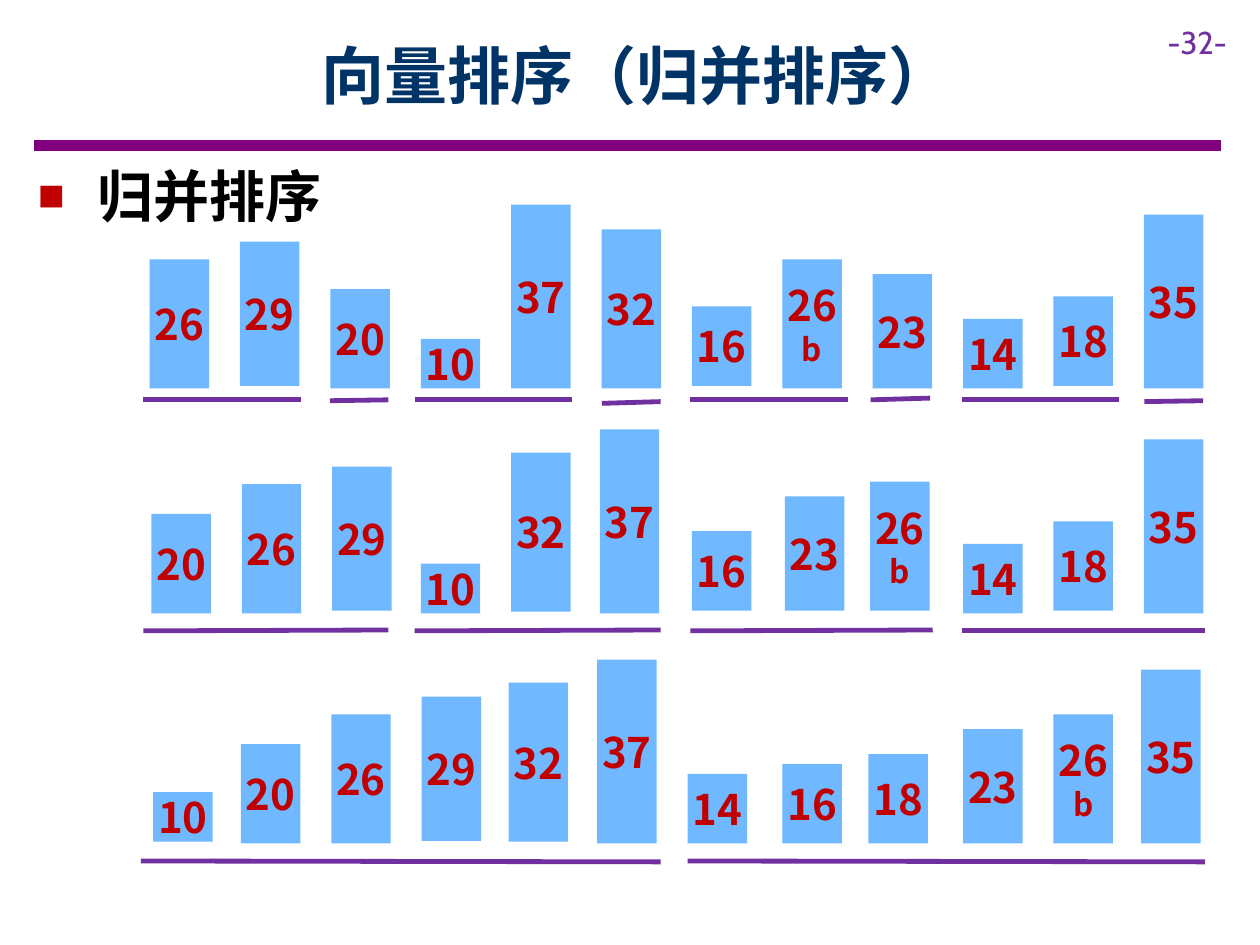
import pptx
import pptx.util
import pptx.dml.color
import pptx.enum.shapes
import pptx.enum.text
import pptx.oxml.ns
from lxml import etree

Pt = pptx.util.Pt
COLORS = {"title": "003366", "rule": "800080", "merge": "7030A0", "bar": "70B8FF",
          "value": "C00000", "text": "000000", "bullet": "C00000"}
HEADING_FONT = "Noto Sans CJK SC"
qn = pptx.oxml.ns.qn


def style_text(paragraph, size, color, bold=True, name=HEADING_FONT):
    font = paragraph.font
    font.size, font.bold, font.name = Pt(size), bold, name
    font.color.rgb = pptx.dml.color.RGBColor.from_string(COLORS[color])
    for run in paragraph.runs:
        east_asian = etree.SubElement(run.font._element, qn("a:ea"))
        east_asian.set("typeface", name)


def draw_line(x1, y1, x2, y2, color, width):
    line = slide.shapes.add_connector(
        pptx.enum.shapes.MSO_CONNECTOR.STRAIGHT, Pt(x1), Pt(y1), Pt(x2), Pt(y2))
    line.line.color.rgb = pptx.dml.color.RGBColor.from_string(COLORS[color])
    line.line.width = Pt(width)
    etree.SubElement(line._element.spPr, qn("a:effectLst"))


presentation = pptx.Presentation()
presentation.slide_width, presentation.slide_height = Pt(720), Pt(540)
slide = presentation.slides.add_slide(presentation.slide_layouts[6])

draw_line(19.5, 83, 697.5, 83, "rule", 6)

page_number = slide.shapes.add_textbox(Pt(660), Pt(9.5), Pt(60), Pt(29)).text_frame
page_number.word_wrap = True
page_number.text = "-32-"
style_text(page_number.paragraphs[0], 18, "merge", False, "Cabin")

title = slide.shapes.add_textbox(Pt(65), Pt(6.5), Pt(598), Pt(72)).text_frame
title.word_wrap = True
title.vertical_anchor = pptx.enum.text.MSO_ANCHOR.MIDDLE
title.text = "向量排序（归并排序）"
title.paragraphs[0].alignment = pptx.enum.text.PP_ALIGN.CENTER
style_text(title.paragraphs[0], 36, "title")

topic = slide.shapes.add_textbox(Pt(14.5), Pt(88.5), Pt(680.5), Pt(46)).text_frame
topic.word_wrap = True
topic.text = " 归并排序"
topic_line = topic.paragraphs[0]
topic_line.space_after = Pt(6)
style_text(topic_line, 32, "text")
topic_format = topic_line._p.get_or_add_pPr()
topic_format.set("marL", str(Pt(27)))
topic_format.set("indent", str(-Pt(27)))
bullet_parts = []
for tag, attribute, setting in [("a:buClr", None, None), ("a:buSzPct", "val", "80000"),
                                ("a:buFont", "typeface", "Arial"), ("a:buChar", "char", "■")]:
    part = etree.Element(qn(tag))
    if attribute:
        part.set(attribute, setting)
    else:
        etree.SubElement(part, qn("a:srgbClr")).set("val", COLORS["bullet"])
    bullet_parts.append(part)
for part in bullet_parts:
    topic_format.find(qn("a:defRPr")).addprevious(part)

FIRST_LEFT, PITCH, BAR_WIDTH, UNIT_HEIGHT = 85.5, 51.65, 34, 2.84
# Each bar: label, sideways shift from its column, lift above the baseline.
passes = [
    (222, [("26", 0, 0), ("29", 0, 1.5), ("20", 0, 0), ("10", 0, 0),
           ("37", 0, 0), ("32", 0, 0), ("16", 0, 1.5), ("26b", 0, 0),
           ("23", 0, 0), ("14", 0, 0), ("18", 0, 1.5), ("35", 0, 0)],
     [(82, 228.5, 172, 228.5), (237, 228.5, 327, 228.5),
      (394.5, 228.5, 484.5, 228.5), (549.5, 228.5, 639.5, 228.5),
      (188.5, 229, 222, 228.5), (344, 230.5, 377.5, 229.5),
      (497.5, 228.5, 531.5, 227.5), (654, 229.5, 687.5, 229)]),
    (350.5, [("20", 1, 0), ("26", 1, 0), ("29", 1, 1.5), ("10", 0, 0),
             ("32", 0, 1), ("37", -1, 0), ("16", 0, 1.5), ("23", 1.5, 1.5),
             ("26b", -1.5, 1.5), ("14", 0, 0), ("18", 0, 1.5), ("35", 0, 0)],
     [(82, 360.5, 222, 360), (237, 360.5, 377.5, 360),
      (394.5, 360.5, 533, 360), (549.5, 360.5, 688.5, 360.5)]),
    (482, [("10", 2, 1), ("20", 0.5, 0), ("26", 0.5, 0), ("29", 0.5, 1.5),
           ("32", -1.5, 1), ("37", -2.5, 0), ("14", -2.5, 0), ("16", 0, 0),
           ("18", -2.5, 0), ("23", 0, 0), ("26b", 0, 0), ("35", -1.5, 0)],
     [(80.5, 492, 377.5, 492.5), (393, 492, 688.5, 492.5)]),
]

for baseline, bars, merged_runs in passes:
    for column, (label, shift, lift) in enumerate(bars):
        height = int(label[:2]) * UNIT_HEIGHT
        bar = slide.shapes.add_shape(
            pptx.enum.shapes.MSO_SHAPE.RECTANGLE, Pt(FIRST_LEFT + column * PITCH + shift),
            Pt(baseline - lift - height), Pt(BAR_WIDTH), Pt(height))
        bar.shadow.inherit = False
        bar.fill.solid()
        bar.fill.fore_color.rgb = pptx.dml.color.RGBColor.from_string(COLORS["bar"])
        bar.line.fill.background()
        value = bar.text_frame
        value.word_wrap = False
        value.margin_left = value.margin_right = value.margin_top = value.margin_bottom = 0
        value.vertical_anchor = pptx.enum.text.MSO_ANCHOR.MIDDLE
        value.text = label.replace("b", "\nb")
        for paragraph, size in zip(value.paragraphs, (24, 18)):
            paragraph.alignment = pptx.enum.text.PP_ALIGN.CENTER
            style_text(paragraph, size, "value")
    for ends in merged_runs:
        draw_line(*ends, "merge", 2.75)

presentation.save("out.pptx")
